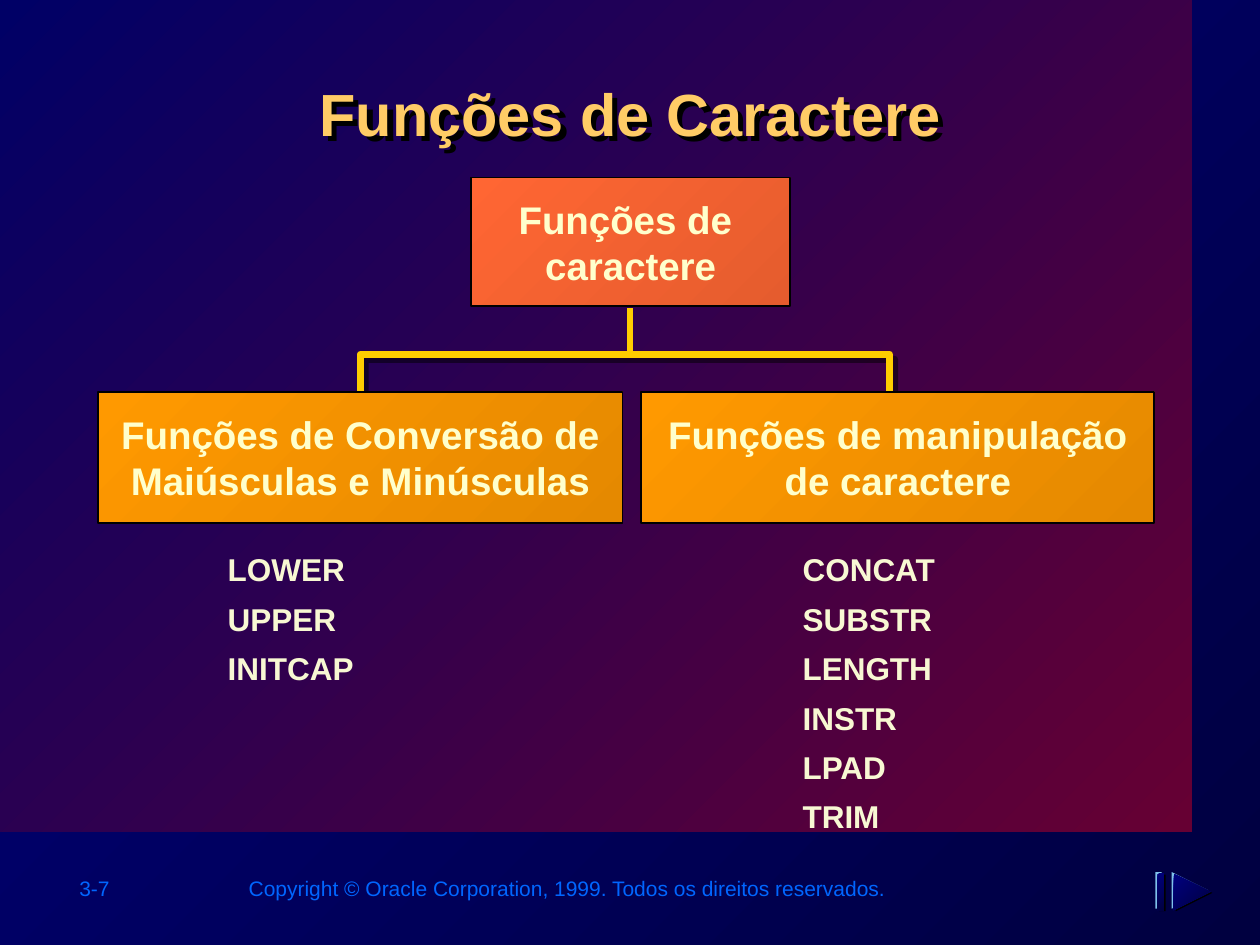
from lxml import etree
from pptx import Presentation
from pptx.dml.color import RGBColor
from pptx.enum.shapes import MSO_CONNECTOR as Link, MSO_SHAPE as Preset
from pptx.enum.text import MSO_ANCHOR as Anchor, PP_ALIGN as Align
from pptx.oxml.ns import qn
from pptx.util import Cm, Pt


def color(hex_value):
    return RGBColor.from_string(hex_value)


def paint(fill, *stops):
    """One colour fills solid, two run diagonally from top left, none clears."""
    if not stops:
        fill.background()
    elif len(stops) == 1:
        fill.solid()
        fill.fore_color.rgb = color(stops[0])
    else:
        fill.gradient()
        fill.gradient_angle = 315
        for stop, hex_value, position in zip(fill.gradient_stops, stops, (0, 1)):
            stop.color.rgb = color(hex_value)
            stop.position = position


def write(frame, lines, size=18, fill="FFFFCC", bold=True, align=Align.LEFT,
          anchor=Anchor.TOP, wrap=False, leading=1.0, gap=0, font="Arial"):
    frame.word_wrap = wrap
    frame.vertical_anchor = anchor
    frame.margin_left = frame.margin_right = Cm(0.25)
    frame.margin_top = frame.margin_bottom = Cm(0.13)
    for number, line in enumerate(lines):
        paragraph = frame.add_paragraph() if number else frame.paragraphs[0]
        paragraph.alignment = align
        paragraph.line_spacing = leading
        paragraph.space_before = Pt(gap if number else 0)
        run = paragraph.add_run()
        run.text = line
        run.font.name, run.font.size, run.font.bold = font, Pt(size), bold
        run.font.color.rgb = color(fill)


class FunctionTree:
    NIGHT = ("000080", "000040")
    GOLD = "FFCC00"
    LINE_WIDTH = 4

    def __init__(self, deck):
        self.slide = deck.slides.add_slide(deck.slide_layouts[5])
        self.shapes = self.slide.shapes
        paint(self.slide.background.fill, *self.NIGHT)

    def cast_shadow(self, shape, distance, opacity):
        shape.shadow.inherit = False
        effects = shape.element.spPr.find(qn("a:effectLst"))
        outer = etree.SubElement(effects, qn("a:outerShdw"), blurRad="0",
                                 dist=str(Pt(distance)), dir="2700000",
                                 algn="ctr", rotWithShape="0")
        black = etree.SubElement(outer, qn("a:srgbClr"), val="000000")
        etree.SubElement(black, qn("a:alpha"), val=str(opacity * 1000))

    def title(self, text, *box):
        heading = self.shapes.title
        heading.left, heading.top, heading.width, heading.height = map(Cm, box)
        write(heading.text_frame, [text], size=34, fill="FFCC66",
              align=Align.CENTER, wrap=True)
        self.cast_shadow(heading, 4.2, 100)

    def block(self, box, *stops):
        block = self.shapes.add_shape(Preset.RECTANGLE, *map(Cm, box))
        block.shadow.inherit = False
        paint(block.fill, *stops)
        block.line.fill.background()
        return block

    def node(self, lines, box, *stops):
        node = self.block(box, *stops)
        paint(node.line.fill, "000000")
        node.line.width = Pt(1)
        write(node.text_frame, lines, size=22, align=Align.CENTER,
              anchor=Anchor.MIDDLE)

    def text(self, lines, *box, **style):
        label = self.shapes.add_textbox(*map(Cm, box))
        write(label.text_frame, lines, **style)

    def outline(self, points, *stops, close=True):
        (start, *rest) = [(Cm(x), Cm(y)) for x, y in points]
        builder = self.shapes.build_freeform(*start)
        builder.add_line_segments(rest, close=close)
        shape = builder.convert_to_shape()
        shape.shadow.inherit = False
        paint(shape.fill, *stops)
        shape.line.fill.background()
        return shape

    def stem(self, x, top, bottom):
        stem = self.shapes.add_connector(Link.STRAIGHT, Cm(x), Cm(bottom),
                                         Cm(x), Cm(top))
        paint(stem.line.fill, self.GOLD)
        stem.line.width = Pt(self.LINE_WIDTH)
        etree.SubElement(stem.element.spPr, qn("a:effectLst"))

    def bracket(self, points):
        bracket = self.outline(points, close=False)
        paint(bracket.line.fill, self.GOLD)
        bracket.line.width = Pt(self.LINE_WIDTH)
        etree.SubElement(bracket.element.spPr.get_or_add_ln(), qn("a:round"))
        self.cast_shadow(bracket, 4.2, 50)

    def next_mark(self, bar_x, arrow_x, top, size):
        # Shade, highlight and face, each shifted a little
        layers = [(0.08, 0.05, ["000000"]), (0, 0, ["7FC1EB"]),
                  (0.04, 0.03, self.NIGHT)]
        for dx, dy, stops in layers:
            self.block((bar_x + dx, top + dy, 0.13, size), *stops)
        for dx, dy, stops in layers:
            x, y = arrow_x + dx, top + dy
            self.outline([(x + size, y + size / 2), (x, y), (x, y + size)], *stops)


def main():
    deck = Presentation()
    deck.slide_width, deck.slide_height = Cm(25.4), Cm(19.05)
    tree = FunctionTree(deck)

    # Backdrop panel, behind the title
    panel = tree.block((0, 0, 24.03, 16.76), "000066", "660033")
    tree.shapes.element.insert(2, panel.element)

    # Footer
    footer = dict(size=12, fill="0066FF", bold=False)
    tree.text(["3-7"], 1.35, 17.53, 2.82, 0.76, **footer)
    tree.text(["Copyright © Oracle Corporation, 1999. Todos os direitos reservados."],
              4.67, 17.53, 13.44, 0.76, align=Align.RIGHT, **footer)

    # Title and root
    tree.title("Funções de Caractere", 2.57, 1.42, 20.27, 2.44)
    tree.node(["Funções de ", "caractere"], (9.5, 3.58, 6.43, 2.59),
              "FF6633", "E55C2E")

    # Function names under each branch
    names = dict(fill="F8F8D3", leading=0.9, gap=8.8)
    tree.text(["LOWER", "UPPER", "INITCAP"], 4.34, 11.05, 3.05, 2.87, **names)
    tree.text(["CONCAT", "SUBSTR", "LENGTH", "INSTR", "LPAD", "TRIM"],
              15.93, 11.05, 3.23, 5.77, **names)

    # Links from root to branches
    tree.stem(12.7, 6.2, 7.09)
    tree.bracket([(7.26, 8.53), (7.26, 7.14), (17.93, 7.14), (17.93, 8.64)])

    # Branches
    branches = [
        (["Funções de Conversão de", "Maiúsculas e Minúsculas"], 1.98, 10.57),
        (["Funções de manipulação", "de caractere"], 12.93, 10.34),
    ]
    for lines, left, width in branches:
        tree.node(lines, (left, 7.9, width, 2.64), "FF9900", "E58900")

    # Next mark in the corner
    tree.next_mark(23.29, 23.62, 17.58, 0.74)

    deck.save("out.pptx")


if __name__ == "__main__":
    main()
